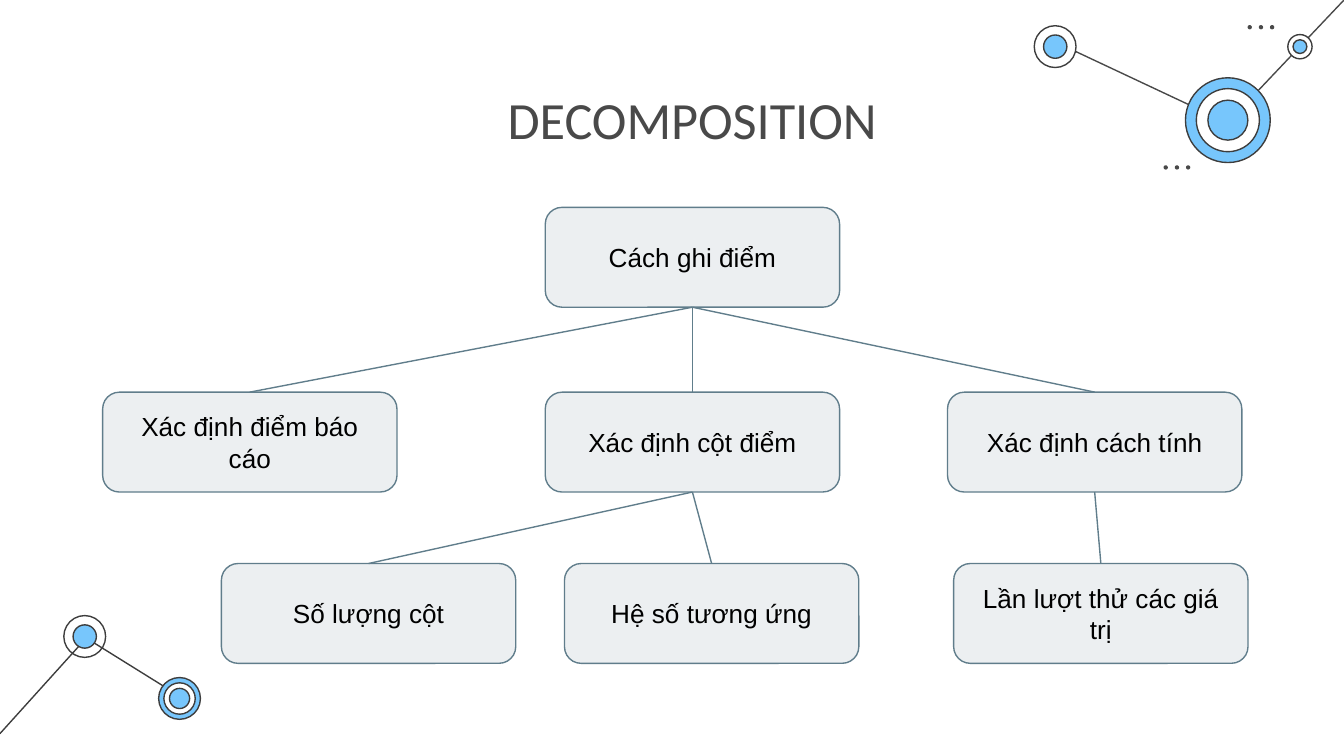
from lxml import etree
from pptx import Presentation
from pptx.dml.color import RGBColor
from pptx.enum import shapes, text
from pptx.oxml import ns
from pptx.util import Pt

BLUE, WHITE, DARK, GREY = "77C6FC", "FFFFFF", "3D3D3D", "494949"
SLATE, PALE, BLACK = "607D8B", "ECEFF1", "000000"
BOX_WIDTH, BOX_HEIGHT = 157.7, 53.5
DOT_SIZE, DOT_STEP = 2.3, 6


def colour(hex_code):
    return RGBColor.from_string(hex_code)


class Painter:
    """Holds the shared style and the page being drawn."""

    line_width = 0.75
    inset = 7.2

    def __init__(self, page):
        self.page = page

    def label(self, shape, words, font, size, ink, anchor):
        frame = shape.text_frame
        frame.word_wrap = True
        frame.vertical_anchor = anchor
        frame.margin_left = frame.margin_right = Pt(self.inset)
        frame.margin_top = frame.margin_bottom = Pt(self.inset)
        para = frame.paragraphs[0]
        para.text = words
        para.alignment = text.PP_ALIGN.CENTER
        para.font.name = font
        para.font.size = Pt(size)
        para.font.color.rgb = colour(ink)

    def title(self, words, left, top, width, height):
        box = self.page.shapes.add_textbox(Pt(left), Pt(top), Pt(width), Pt(height))
        self.label(box, words, "Calibri", 28, GREY, text.MSO_ANCHOR.TOP)

    def shape(self, kind, left, top, width, height, fill, outline):
        """Add a preset shape; None leaves out the fill or the outline."""
        shape = self.page.shapes.add_shape(kind, Pt(left), Pt(top), Pt(width), Pt(height))
        shape.shadow.inherit = False
        if fill:
            shape.fill.solid()
            shape.fill.fore_color.rgb = colour(fill)
        else:
            shape.fill.background()
        if outline:
            shape.line.color.rgb = colour(outline)
            shape.line.width = Pt(self.line_width)
        else:
            shape.line.fill.background()
        return shape

    def box(self, words, left, top):
        box = self.shape(shapes.MSO_SHAPE.ROUNDED_RECTANGLE, left, top,
                         BOX_WIDTH, BOX_HEIGHT, PALE, SLATE)
        box.adjustments[0] = 0.167
        self.label(box, words, "Arial", 14, BLACK, text.MSO_ANCHOR.MIDDLE)
        return box

    def circle(self, x, y, size, fill, outline=None):
        self.shape(shapes.MSO_SHAPE.OVAL, x - size / 2, y - size / 2,
                   size, size, fill, outline)

    def node(self, x, y, rings):
        """Draw concentric circles, given as (diameter, fill) from outside in."""
        for size, fill in rings:
            self.circle(x, y, size, fill, DARK)

    def dots(self, x, y):
        for step in range(3):
            self.circle(x + step * DOT_STEP, y, DOT_SIZE, GREY)

    def line(self, start, end, ink):
        line = self.page.shapes.add_connector(
            shapes.MSO_CONNECTOR.STRAIGHT, *(Pt(value) for value in (*start, *end)))
        line.line.color.rgb = colour(ink)
        line.line.width = Pt(self.line_width)
        etree.SubElement(line._element.spPr, ns.qn("a:effectLst"))
        return line

    def branch(self, parent, child):
        line = self.line((0, 0), (0, 0), SLATE)
        line.begin_connect(parent, 2)
        line.end_connect(child, 0)


def main():
    deck = Presentation()
    deck.slide_width, deck.slide_height = Pt(720), Pt(405)
    painter = Painter(deck.slides.add_slide(deck.slide_layouts[6]))

    # Corner networks
    painter.line((46.5, 342), (99.5, 375), DARK)
    painter.line((0, 393), (46.5, 341.5), DARK)
    painter.node(45.4, 341, [(22.4, None), (12.5, BLUE)])
    painter.node(96.2, 374.2, [(22.4, BLUE), (16.8, WHITE), (10.8, BLUE)])
    painter.line((658, 66), (566.5, 23), GREY)
    painter.line((720, 0), (658, 65.5), GREY)
    painter.node(657.8, 64.4, [(45.4, BLUE), (33.8, WHITE), (21.4, BLUE)])
    painter.node(565.3, 25, [(22.4, WHITE), (12.5, BLUE)])
    painter.node(696.4, 25, [(13, WHITE), (7.4, BLUE)])
    painter.dots(669.5, 14.6)
    painter.dots(624.5, 89.7)

    painter.title("DECOMPOSITION", 67.7, 39.6, 606.2, 45.4)

    # Tree
    root = painter.box("Cách ghi điểm", 292.1, 111.1)
    report, columns, method = [
        painter.box(words, left, 210.1)
        for words, left in [("Xác định điểm báo cáo", 55),
                            ("Xác định cột điểm", 292.1),
                            ("Xác định cách tính", 507.6)]]
    count, weight, trial = [
        painter.box(words, left, 301.9)
        for words, left in [("Số lượng cột", 118.6),
                            ("Hệ số tương ứng", 302.4),
                            ("Lần lượt thử các giá trị", 510.9)]]
    for parent, children in [(root, (report, columns, method)),
                             (columns, (count, weight)),
                             (method, (trial,))]:
        for child in children:
            painter.branch(parent, child)

    deck.save("out.pptx")


if __name__ == "__main__":
    main()
